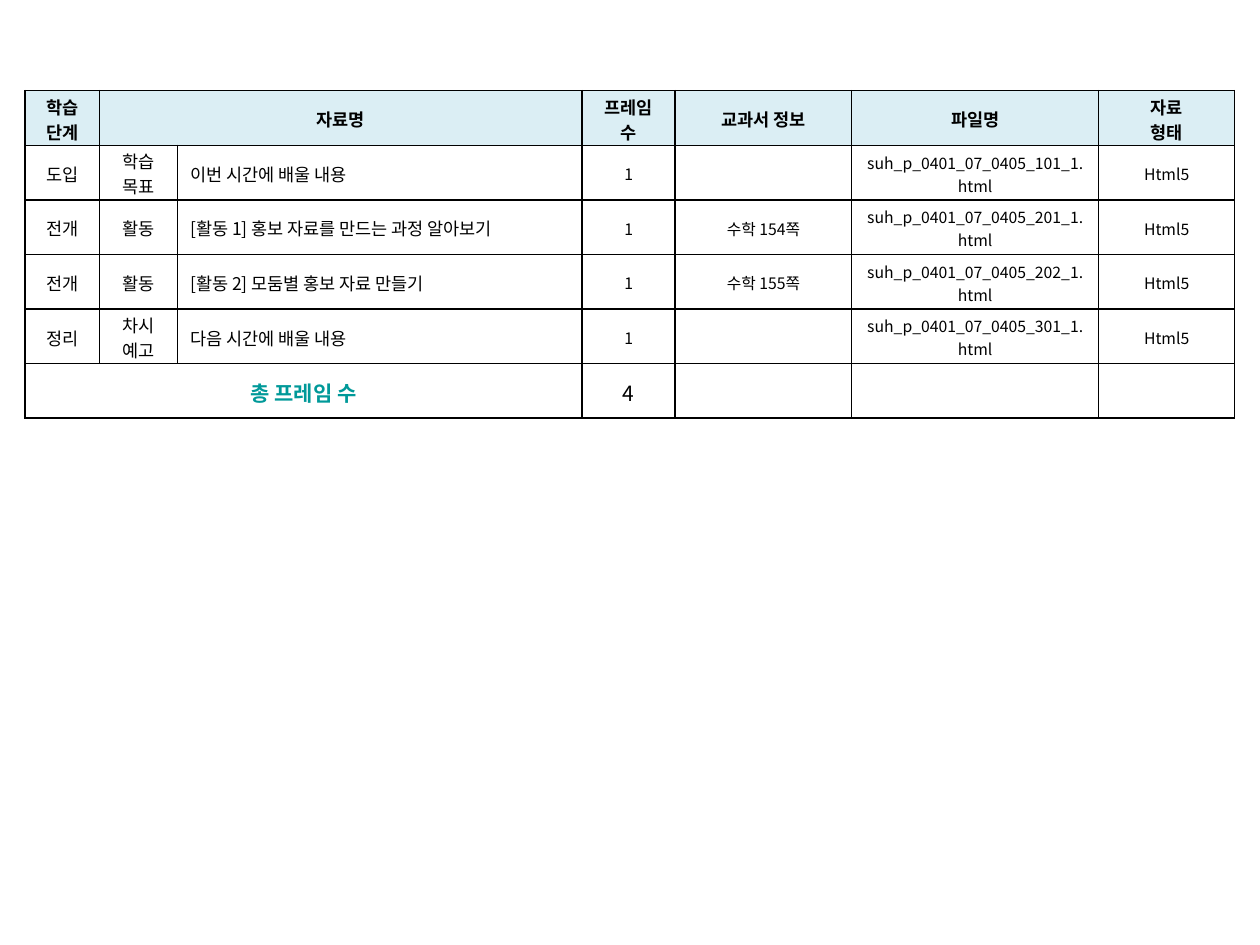
import pptx
import pptx.util
import pptx.dml.color
import pptx.enum.text
import pptx.oxml
import pptx.oxml.ns
import lxml.etree

Inches, Pt = pptx.util.Inches, pptx.util.Pt
Color = pptx.dml.color.RGBColor.from_string
Align = pptx.enum.text.PP_ALIGN
qn = pptx.oxml.ns.qn


class Theme:
    face = "Noto Sans CJK KR"
    ink, teal, pale = "000000", "009999", "DBEEF4"
    small, body, total = Pt(9), Pt(10), Pt(12)
    line = Pt(1)


COLS = [0.59, 0.62, 3.21, 0.74, 1.4, 1.96, 1.08]
HEAD = ["학습 단계", "자료명", "", "프레임 수", "교과서 정보", "파일명", "자료\n형태"]
LESSON = [
    ("도입", "학습 목표", "이번 시간에 배울 내용", "", 101),
    ("전개", "활동", "[활동 1] 홍보 자료를 만드는 과정 알아보기", "수학 154쪽", 201),
    ("전개", "활동", "[활동 2] 모둠별 홍보 자료 만들기", "수학 155쪽", 202),
    ("정리", "차시 예고", "다음 시간에 배울 내용", "", 301),
]
TOTAL = ["총 프레임 수", "", "", str(len(LESSON)), "", "", ""]


def frame(cell):
    """Draw a thin line on all four sides of a cell."""
    props = cell._tc.get_or_add_tcPr()
    for spot, side in enumerate(("lnL", "lnR", "lnT", "lnB")):
        line = lxml.etree.Element(qn(f"a:{side}"), w=str(Theme.line))
        fill = lxml.etree.SubElement(line, qn("a:solidFill"))
        lxml.etree.SubElement(fill, qn("a:srgbClr"), val=Theme.ink)
        props.insert(spot, line)


def write(cell, text, size, color=Theme.ink, bold=False, align=Align.CENTER):
    cell.text = text
    look = {"name": Theme.face, "size": size, "bold": bold}
    for para in cell.text_frame.paragraphs:
        para.alignment = align
        for part in [para, *para.runs]:
            for key, value in look.items():
                setattr(part.font, key, value)
            part.font.color.rgb = Color(color)
        for run in para.runs:
            latin = run._r.get_or_add_rPr().find(qn("a:latin"))
            latin.addnext(lxml.etree.Element(qn("a:ea"), typeface=Theme.face))


def style(row, col, last):
    """Give the text format for a place in the grid."""
    if row == 0:
        return {"size": Theme.body, "bold": True}
    if row == last:
        if col == 0:
            return {"size": Theme.total, "color": Theme.teal, "bold": True}
        return {"size": Theme.total}
    if col == 2:
        return {"size": Theme.body, "align": Align.LEFT}
    return {"size": Theme.body if col < 2 else Theme.small}


def plan(slide, left, top, width, height):
    """Place the lesson table in the given box."""
    rows = [HEAD]
    for step, kind, name, page, code in LESSON:
        file = f"suh_p_0401_07_0405_{code}_1.html"
        rows.append([step, kind, name, "1", page, file, "Html5"])
    rows.append(TOTAL)
    last = len(rows) - 1

    box = slide.shapes.add_table(len(rows), len(COLS), left, top, width, height)
    table = box.table
    for col, wide in zip(table.columns, COLS):
        col.width = Inches(wide)
    for r, texts in enumerate(rows):
        for c, text in enumerate(texts):
            cell = table.cell(r, c)
            pads = {"margin_top": Inches(0.02), "margin_bottom": 0,
                    "vertical_anchor": pptx.enum.text.MSO_ANCHOR.MIDDLE}
            for key, value in pads.items():
                setattr(cell, key, value)
            if r == 0:
                cell.fill.solid()
                cell.fill.fore_color.rgb = Color(Theme.pale)
            else:
                cell.fill.background()
            write(cell, text, **style(r, c, last))
            frame(cell)
    table.cell(0, 1).merge(table.cell(0, 2))
    table.cell(last, 0).merge(table.cell(last, 2))


def main():
    deck = pptx.Presentation()
    deck.slide_width, deck.slide_height = Inches(10), Inches(7.5)
    slide = deck.slides.add_slide(deck.slide_layouts.get_by_name("Blank"))
    plan(slide, Inches(0.2), Inches(0.72), Inches(9.6), Inches(2.6))
    deck.save("out.pptx")


if __name__ == "__main__":
    main()
